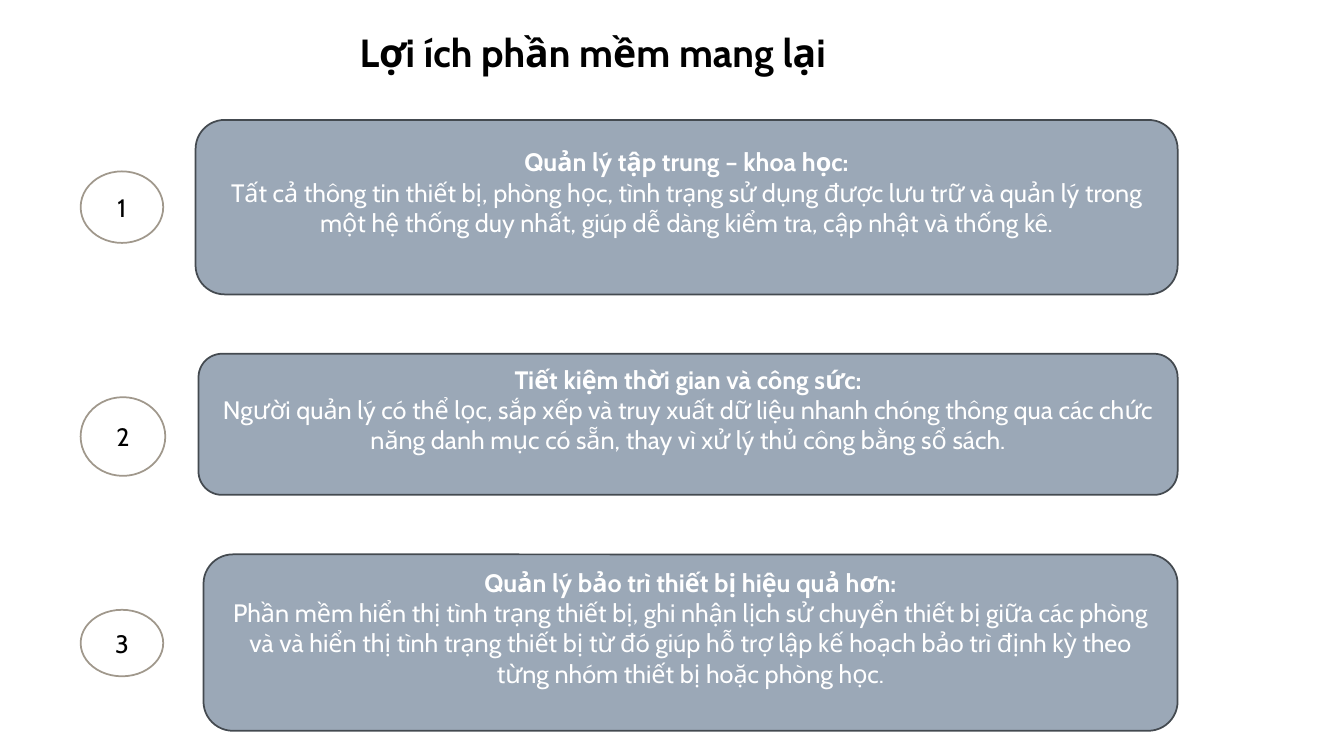
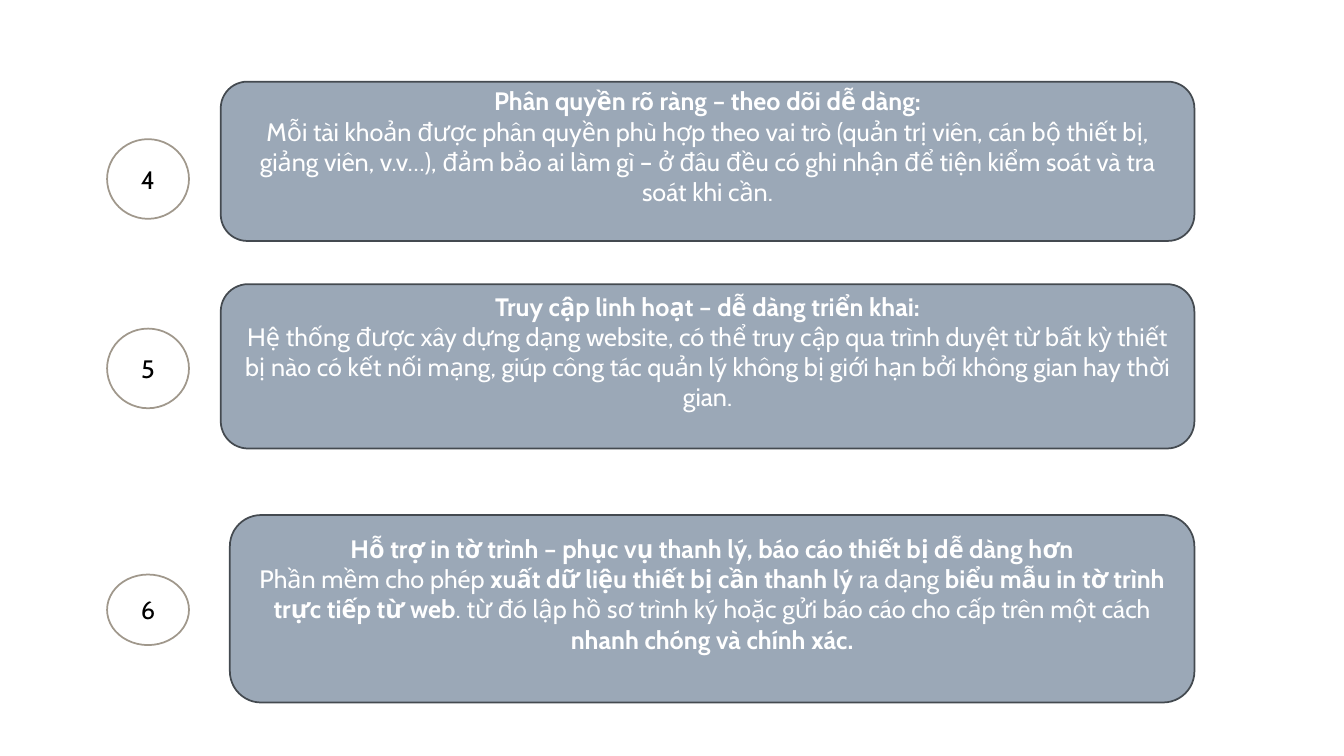
"""Build two slides of numbered cards on the benefits of the software."""
from pptx import Presentation
from pptx.dml.color import RGBColor
from pptx.enum.shapes import MSO_SHAPE as SHAPE
from pptx.enum.text import MSO_ANCHOR as ANCHOR, MSO_AUTO_SIZE as AUTO, PP_ALIGN as ALIGN
from pptx.util import Pt

BLACK = RGBColor(0x00, 0x00, 0x00)
WHITE = RGBColor(0xFF, 0xFF, 0xFF)
SLATE = RGBColor(0x9B, 0xA8, 0xB7)
CHARCOAL = RGBColor(0x44, 0x4A, 0x50)
TAUPE = RGBColor(0xA0, 0x98, 0x8C)
FONT = "Cabin"
BOLD = "**"
CARD_BOTTOM_INSET = 25

SLIDES = [
    dict(title="Lợi ích phần mềm mang lại", badge_left=57.6, card_right=841.2, rows=[
        dict(badge=(122.4, 59, 51.1), card=(139.7, 85.7, 124.6),
             head="Quản lý tập trung – khoa học:",
             body="Tất cả thông tin thiết bị, phòng học, tình trạng sử dụng được lưu trữ và "
                  "quản lý trong một hệ thống duy nhất, giúp dễ dàng kiểm tra, cập nhật và "
                  "thống kê."),
        dict(badge=(283.7, 60.5, 56.2), card=(141.8, 252.7, 100.8),
             head="Tiết kiệm thời gian và công sức:",
             body="Người quản lý có thể lọc, sắp xếp và truy xuất dữ liệu nhanh chóng thông "
                  "qua các chức năng danh mục có sẵn, thay vì xử lý thủ công bằng sổ sách."),
        dict(badge=(435.6, 59, 47.5), card=(145.4, 396, 126),
             head="Quản lý bảo trì thiết bị hiệu quả hơn:",
             body="Phần mềm hiển thị tình trạng thiết bị, ghi nhận lịch sử chuyển thiết bị "
                  "giữa các phòng và và hiển thị tình trạng thiết bị từ đó giúp hỗ trợ lập "
                  "kế hoạch bảo trì định kỳ theo từng nhóm thiết bị hoặc phòng học."),
    ]),
    dict(title=None, badge_left=76.5, card_right=853.2, rows=[
        dict(badge=(99.4, 58.5, 56.9), card=(157.7, 58.3, 113.8),
             head="Phân quyền rõ ràng – theo dõi dễ dàng:",
             body="Mỗi tài khoản được phân quyền phù hợp theo vai trò (quản trị viên, cán bộ "
                  "thiết bị, giảng viên, v.v…), đảm bảo ai làm gì – ở đâu đều có ghi nhận để "
                  "tiện kiểm soát và tra soát khi cần."),
        dict(badge=(234.7, 58.5, 56.9), card=(157.7, 203, 117.4),
             head="Truy cập linh hoạt – dễ dàng triển khai:",
             body="Hệ thống được xây dựng dạng website, có thể truy cập qua trình duyệt từ "
                  "bất kỳ thiết bị nào có kết nối mạng, giúp công tác quản lý không bị giới "
                  "hạn bởi không gian hay thời gian."),
        dict(badge=(410.4, 58.5, 50.4), card=(164.2, 367.9, 133.9),
             head="Hỗ trợ in tờ trình – phục vụ thanh lý, báo cáo thiết bị dễ dàng hơn",
             body="Phần mềm cho phép **xuất dữ liệu thiết bị cần thanh lý** ra dạng **biểu mẫu "
                  "in tờ trình trực tiếp từ web**. từ đó lập hồ sơ trình ký hoặc gửi báo cáo "
                  "cho cấp trên một cách **nhanh chóng và chính xác.**"),
    ]),
]


def write(tf, *texts, size=18, color=BLACK, align=ALIGN.CENTER):
    tf.word_wrap = True
    for i, text in enumerate(texts):
        p = tf.add_paragraph() if i else tf.paragraphs[0]
        p.alignment = align
        for j, part in enumerate(text.split(BOLD)):
            if part:
                r = p.add_run()
                r.text = part
                r.font.name, r.font.size, r.font.bold = FONT, Pt(size), j % 2 == 1
                r.font.color.rgb = color


def add_block(shapes, kind, box, *texts, fill, line, color, bottom=3.6):
    sp = shapes.add_shape(kind, *map(Pt, box))
    sp.shadow.inherit = False
    sp.fill.solid()
    sp.fill.fore_color.rgb = fill
    sp.line.color.rgb = line
    sp.line.width = Pt(1.25)
    tf = sp.text_frame
    tf.vertical_anchor = ANCHOR.MIDDLE
    tf.margin_bottom = Pt(bottom)
    write(tf, *texts, color=color)


def add_row(s, number, row, badge_left, card_right):
    shapes = s.shapes.add_group_shape().shapes
    left, top, height = row["card"]
    add_block(shapes, SHAPE.OVAL, (badge_left, *row["badge"]), str(number),
              fill=WHITE, line=TAUPE, color=BLACK)
    add_block(shapes, SHAPE.ROUNDED_RECTANGLE, (left, top, card_right - left, height),
              BOLD + row["head"] + BOLD, row["body"],
              fill=SLATE, line=CHARCOAL, color=WHITE, bottom=CARD_BOTTOM_INSET)


def add_title(s, text):
    tf = s.shapes.add_textbox(Pt(249.8), Pt(16.6), Pt(681), Pt(41)).text_frame
    tf.auto_size = AUTO.SHAPE_TO_FIT_TEXT
    write(tf, BOLD + text + BOLD, size=28, align=ALIGN.LEFT)


def main():
    prs = Presentation()
    prs.slide_width, prs.slide_height = Pt(960), Pt(540)
    number = 0
    for data in SLIDES:
        s = prs.slides.add_slide(prs.slide_layouts[6])
        for row in data["rows"]:
            number += 1
            add_row(s, number, row, data["badge_left"], data["card_right"])
        if data["title"]:
            add_title(s, data["title"])
    prs.save("out.pptx")


if __name__ == "__main__":
    main()
